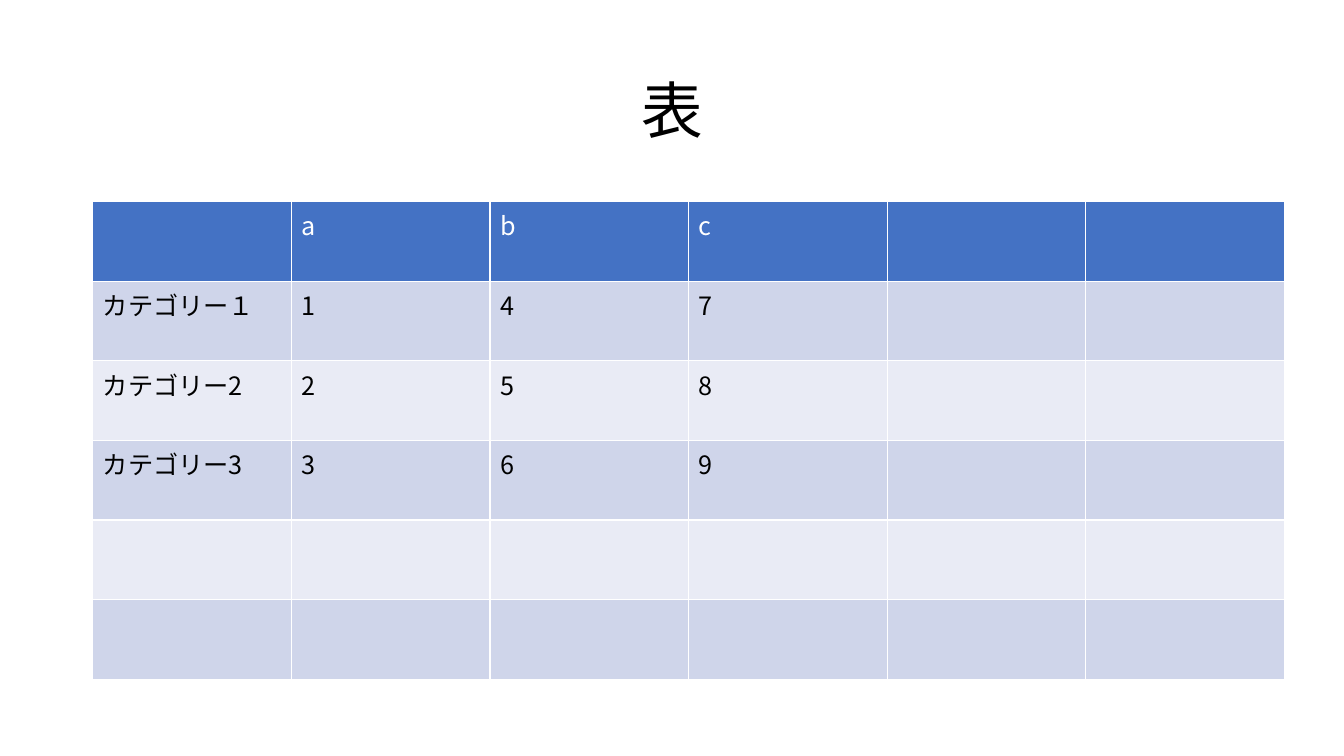
from dataclasses import dataclass

from lxml import etree
from pptx import Presentation
from pptx.dml.color import RGBColor
from pptx.enum.text import MSO_ANCHOR, PP_ALIGN
from pptx.oxml.ns import qn
from pptx.util import Inches, Pt

MIDDLE = MSO_ANCHOR.MIDDLE
CENTER = PP_ALIGN.CENTER
WIDE, HIGH = 13.33, 7.5
LEFT = 0.92
SIDE = 6
COL, ROW = 1.97, 0.79
TITLE = "表"
HEAD = ["", "a", "b", "c"]
BODY = [
    ["カテゴリー１", "1", "4", "7"],
    ["カテゴリー2", "2", "5", "8"],
    ["カテゴリー3", "3", "6", "9"],
]


@dataclass(frozen=True)
class Theme:
    """Colours, font and type sizes of the slide."""
    font: str = "Noto Sans CJK JP"
    title: int = 44
    cell: int = 18
    ink: str = "000000"
    paper: str = "FFFFFF"
    head: str = "4472C4"
    bands: tuple = ("CFD5EA", "E9EBF5")


THEME = Theme()


def add_run(para, text, size, color):
    """Add one run in the theme font, for Latin and Japanese alike."""
    run = para.add_run()
    run.text = text
    font = run.font
    font.name, font.size, font.bold = THEME.font, Pt(size), False
    font.color.rgb = RGBColor.from_string(color)
    props = run._r.get_or_add_rPr()
    props.set("lang", "ja-JP")
    east = etree.SubElement(props, qn("a:ea"))
    east.set("typeface", THEME.font)


def add_title(slide, text):
    """Add the centred slide title."""
    box = slide.shapes.add_textbox(
        Inches(LEFT), Inches(0.4), Inches(WIDE - 2 * LEFT), Inches(1.45))
    frame = box.text_frame
    frame.word_wrap = True
    frame.vertical_anchor = MIDDLE
    para = frame.paragraphs[0]
    para.alignment = CENTER
    para.line_spacing = 0.9
    add_run(para, text, THEME.title, THEME.ink)


def fill_row(cells, texts, fill, color):
    """Colour a row and write its leading cells."""
    for cell in cells:
        cell.fill.solid()
        cell.fill.fore_color.rgb = RGBColor.from_string(fill)
    for cell, text in zip(cells, texts):
        if text:
            para = cell.text_frame.paragraphs[0]
            add_run(para, text, THEME.cell, color)


def add_grid(slide, head, body):
    """Add a square table with a header and banded rows."""
    table = slide.shapes.add_table(
        SIDE, SIDE, Inches(LEFT), Inches(2),
        Inches(SIDE * COL), Inches(SIDE * ROW)).table
    for col in table.columns:
        col.width = Inches(COL)
    for row in table.rows:
        row.height = Inches(ROW)
    first, *rest = table.rows
    fill_row(first.cells, head, THEME.head, THEME.paper)
    for i, row in enumerate(rest):
        texts = body[i] if i < len(body) else []
        fill_row(row.cells, texts, THEME.bands[i % 2], THEME.ink)


def main():
    """Build and save the slide."""
    deck = Presentation()
    deck.slide_width, deck.slide_height = Inches(WIDE), Inches(HIGH)
    slide = deck.slides.add_slide(deck.slide_layouts[6])
    add_title(slide, TITLE)
    add_grid(slide, HEAD, BODY)
    deck.save("out.pptx")


main()
